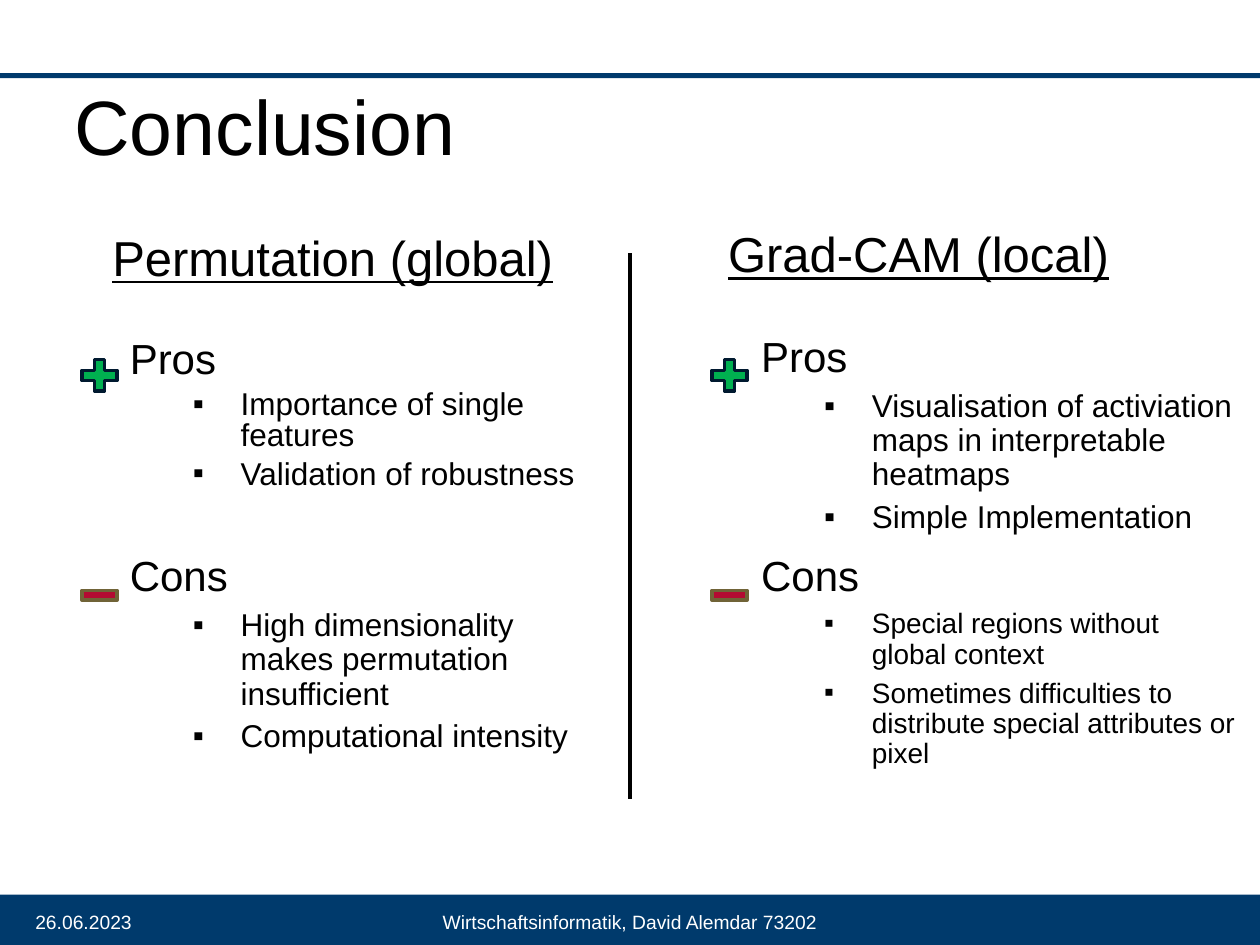
from lxml import etree
from pptx import Presentation
from pptx import util as u
from pptx.dml.color import RGBColor
from pptx.enum import shapes, text
from pptx.oxml import ns

NAVY, BLACK, WHITE = "003A6C", "000000", "FFFFFF"
LEFT, CENTER = text.PP_ALIGN.LEFT, text.PP_ALIGN.CENTER
TOP, MIDDLE = text.MSO_ANCHOR.TOP, text.MSO_ANCHOR.MIDDLE


def rgb(value):
    return RGBColor.from_string(value)


def apply(obj, fmt):
    for name, value in fmt.items():
        setattr(obj, name, value)


def place(sp, box):
    names = ("left", "top", "width", "height")
    apply(sp, {n: u.Inches(v) for n, v in zip(names, box)})


def prepare(sp, anchor=TOP):
    tf = sp.text_frame
    margins = ("margin_left", "margin_top", "margin_right", "margin_bottom")
    apply(tf, dict.fromkeys(margins, 0))
    apply(tf, {"word_wrap": True, "auto_size": text.MSO_AUTO_SIZE.NONE,
               "vertical_anchor": anchor})
    return tf


def write(p, words, size, color=BLACK, underline=None, **fmt):
    apply(p, fmt)
    r = p.add_run()
    r.text = words
    apply(r.font, {"name": "Arial", "size": u.Pt(size), "underline": underline})
    r.font.color.rgb = rgb(color)


def add_text(s, box):
    return s.shapes.add_textbox(*(u.Inches(v) for v in box))


def set_bullet(p, char=None, margin=0.0, indent=0.0):
    pPr = p._p.get_or_add_pPr()
    pPr.set("marL", str(u.Inches(margin)))
    pPr.set("indent", str(u.Inches(indent)))
    if char is None:
        etree.SubElement(pPr, ns.qn("a:buNone"))
        return
    clr = etree.SubElement(pPr, ns.qn("a:buClr"))
    etree.SubElement(clr, ns.qn("a:srgbClr"), val=BLACK)
    etree.SubElement(pPr, ns.qn("a:buFont"), typeface="Arial")
    etree.SubElement(pPr, ns.qn("a:buChar"), char=char)


def add_shape(s, kind, box, fill, line=None):
    sp = s.shapes.add_shape(kind, *(u.Inches(v) for v in box))
    sp.shadow.inherit = False
    sp.fill.solid()
    sp.fill.fore_color.rgb = rgb(fill)
    if line:
        sp.line.color.rgb = rgb(line)
        sp.line.width = u.Pt(2)
    else:
        sp.line.fill.background()


def fill_title(sp, box, words):
    place(sp, box)
    tf = prepare(sp, MIDDLE)
    write(tf.paragraphs[0], words, 44, alignment=LEFT, line_spacing=0.9)


def fill_heading(s, box, words):
    p = prepare(add_text(s, box)).paragraphs[0]
    write(p, words, 28, underline=True, alignment=CENTER,
          line_spacing=0.9, space_before=u.Pt(10))
    set_bullet(p, margin=0.12)


def fill_list(sp, box, heading, items, size=18, spacing=0.9):
    place(sp, box)
    tf = prepare(sp)
    p = tf.paragraphs[0]
    write(p, heading, 24, line_spacing=spacing, space_before=u.Pt(10))
    set_bullet(p, margin=0.12)
    for item in items:
        p = tf.add_paragraph()
        write(p, item, size, level=1, line_spacing=spacing, space_before=u.Pt(5))
        set_bullet(p, "▪", 1, -0.38)


def add_divider(s, x, top, bottom):
    ln = s.shapes.add_connector(shapes.MSO_CONNECTOR.STRAIGHT, u.Inches(x),
                                u.Inches(top), u.Inches(x), u.Inches(bottom))
    ln.line.color.rgb = rgb(BLACK)
    ln.line.width = u.Pt(2.25)
    etree.SubElement(ln._element.spPr, ns.qn("a:effectLst"))


def add_footer(s, box):
    add_shape(s, shapes.MSO_SHAPE.RECTANGLE, box, NAVY)
    top = box[1] + 0.1
    for x, w, words, align in (
            (0.28, 1.38, "26.06.2023", LEFT),
            (1.85, 6.3, "Wirtschaftsinformatik, David Alemdar 73202", CENTER)):
        tf = prepare(add_text(s, (x, top, w, 0.24)), MIDDLE)
        write(tf.paragraphs[0], words, 11, WHITE, alignment=align)


def add_signs(s, x):
    add_shape(s, shapes.MSO_SHAPE.MATH_PLUS, (x, 2.81, 0.38, 0.34), "00B050", "00192F")
    add_shape(s, shapes.MSO_SHAPE.MATH_MINUS, (x, 4.56, 0.38, 0.33), "B30A32", "706337")


def main():
    prs = Presentation()
    apply(prs, {"slide_width": u.Inches(10), "slide_height": u.Inches(7.5)})
    s = prs.slides.add_slide(prs.slide_layouts[3])
    title, pros, cons = s.placeholders

    add_shape(s, shapes.MSO_SHAPE.RECTANGLE, (0, 0.58, 10, 0.04), NAVY)
    add_footer(s, (0, 7.1, 10, 0.4))
    fill_title(title, (0.59, 0.68, 9.14, 0.71), "Conclusion")

    fill_heading(s, (0.35, 1.86, 4.46, 0.71), "Permutation (global)")
    fill_list(pros, (0.91, 2.72, 3.76, 1.37), "Pros",
              ["Importance of single features", "Validation of robustness"],
              spacing=0.8)
    fill_list(cons, (0.91, 4.41, 3.76, 2.05), "Cons",
              ["High dimensionality makes permutation insufficient",
               "Computational intensity"])

    fill_heading(s, (5, 1.83, 4.46, 0.71), "Grad-CAM (local)")
    box = (5.92, 2.67, 3.89, 1.91)
    fill_list(add_text(s, box), box, "Pros",
              ["Visualisation of activiation maps in interpretable heatmaps",
               "Simple Implementation"])
    box = (5.92, 4.41, 3.89, 2.05)
    fill_list(add_text(s, box), box, "Cons",
              ["Special regions without global context",
               "Sometimes difficulties to distribute special attributes or pixel"],
              size=16)

    add_divider(s, 5, 2.01, 6.34)
    for x in (0.6, 5.6):
        add_signs(s, x)
    prs.save("out.pptx")


if __name__ == "__main__":
    main()
